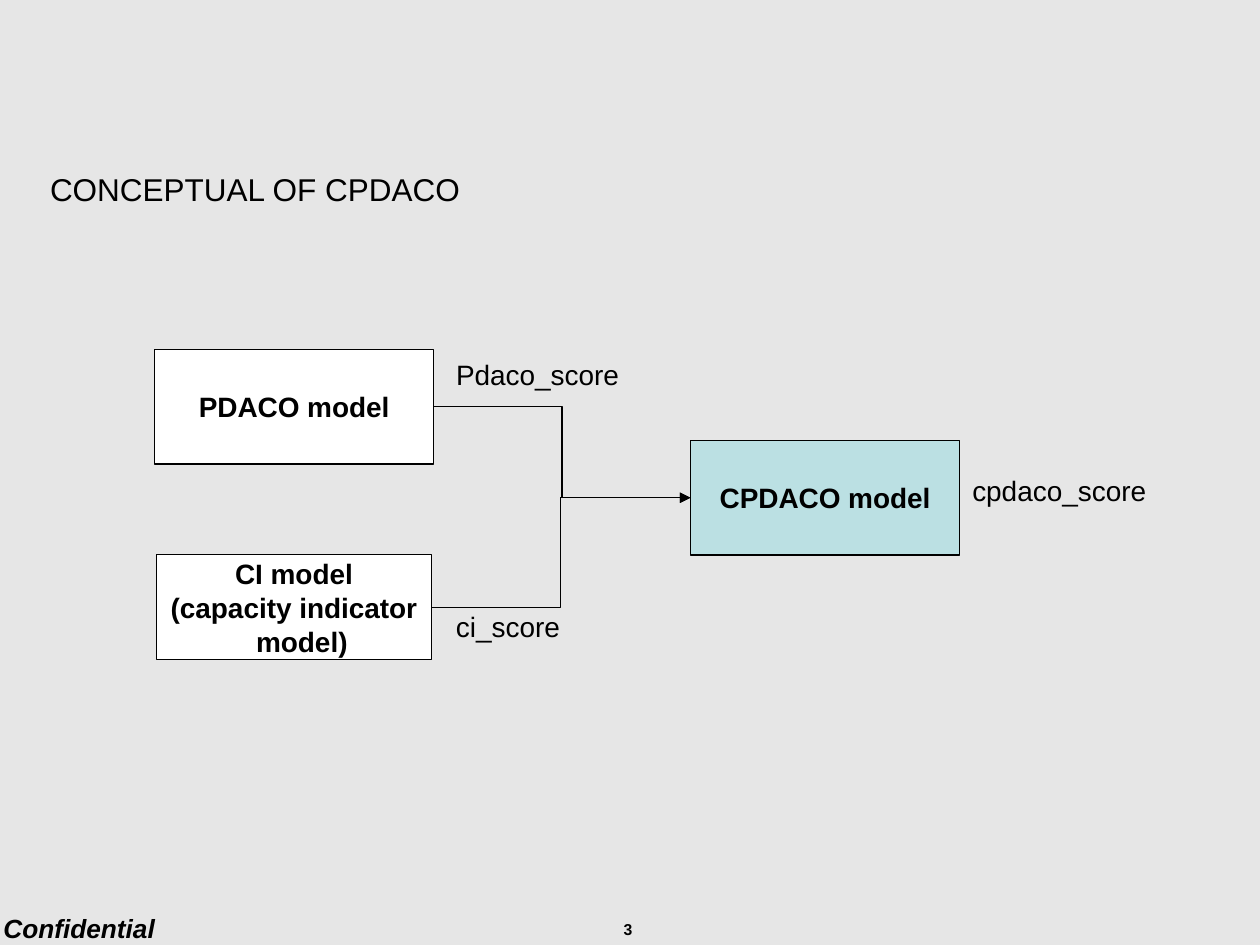
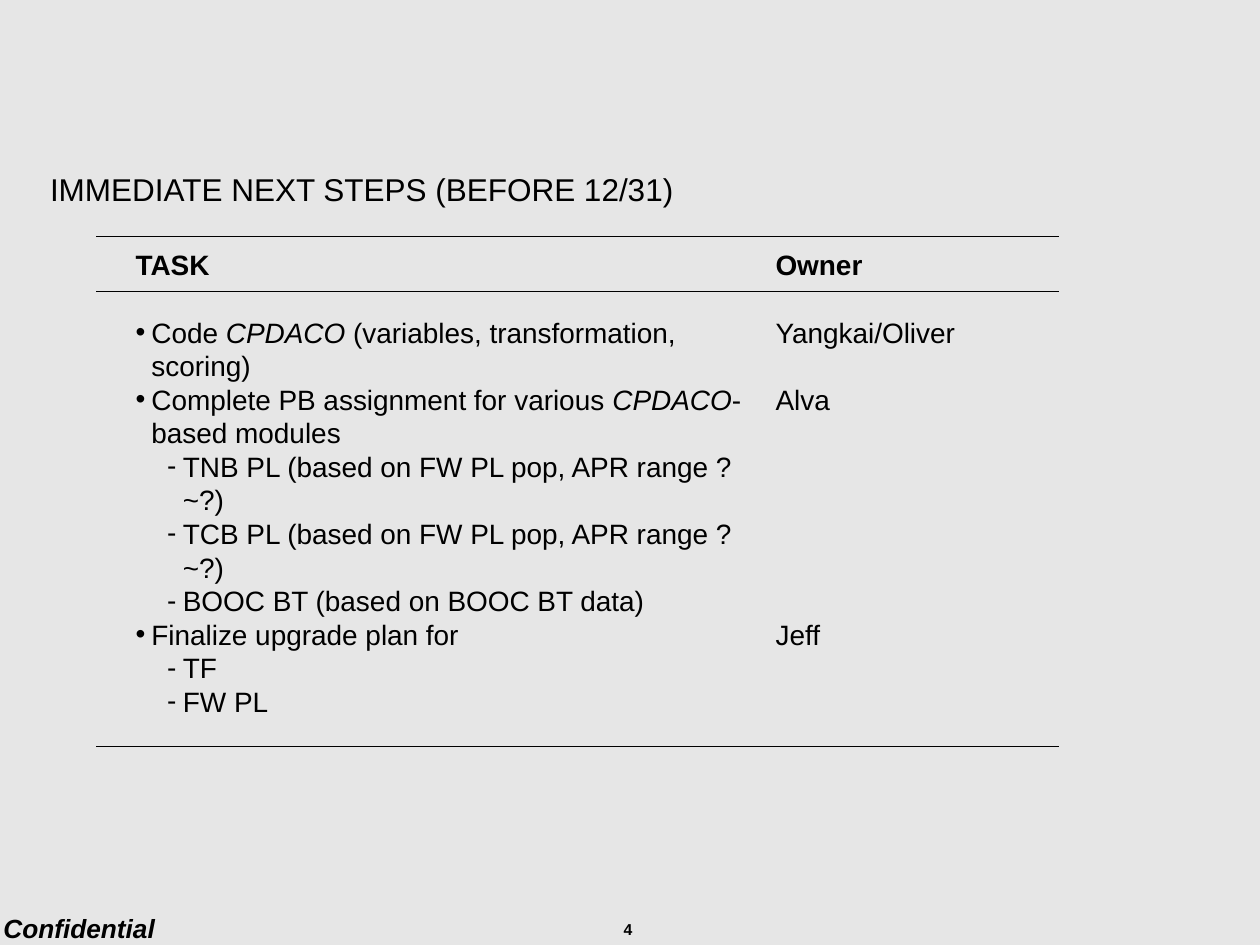
from lxml.etree import SubElement
from pptx import Presentation
from pptx.dml.color import RGBColor as Color
from pptx.enum.shapes import MSO_CONNECTOR as Connector, MSO_SHAPE as Shape
from pptx.enum.text import MSO_ANCHOR as Anchor, MSO_AUTO_SIZE as AutoSize, PP_ALIGN as Align
from pptx.oxml.ns import qn
from pptx.util import Pt

COLORS = {"background": "E6E6E6", "ink": "000000", "input": "FFFFFF", "result": "BBE0E3"}
FONT = "Arial"
SLIDE_WIDTH, SLIDE_HEIGHT = 720, 540
FIRST_PAGE = 3
LINE_HEIGHT = 19.2  # one line of 16 pt text
HANGING = 9
LEFT, RIGHT = 1, 3  # connection sites of a rectangle

TITLE = {"size": Pt(18)}
BODY = {"size": Pt(16)}
STRONG = {"size": Pt(16), "bold": True}
CONFIDENTIAL = {"size": Pt(15), "bold": True, "italic": True}
PAGE_NUMBER = {"size": Pt(9), "bold": True}

# Text between bars is italic: (level, text)
TASKS = [
    (0, "Code |CPDACO |(variables, transformation, scoring)"),
    (0, "Complete PB assignment for various |CPDACO|-based modules"),
    (1, "TNB PL (based on FW PL pop, APR range ?~?)"),
    (1, "TCB PL (based on FW PL pop, APR range ?~?)"),
    (1, "BOOC BT (based on BOOC BT data)"),
    (0, "Finalize upgrade plan for"),
    (1, "TF"),
    (1, "FW PL"),
]
# Owner and the number of free lines above
OWNERS = [("Yangkai/Oliver", 1), ("Alva", 1), ("Jeff", 6)]
BULLETS = ["•", "-"]


def rgb(name):
    return Color.from_string(COLORS[name])


def apply(target, values):
    for name, value in values.items():
        setattr(target, name, value)


def points(box):
    return [Pt(length) for length in box]


# Text helpers
def write(paragraph, text, font, **settings):
    apply(paragraph, settings)
    for index, part in enumerate(text.split("|")):
        run = paragraph.add_run()
        run.text = part
        apply(run.font, {"name": FONT, **font})
        run.font.color.rgb = rgb("ink")
        if index % 2:
            run.font.italic = True


def add_paragraph(frame, text, font, **settings):
    paragraph = frame.add_paragraph()
    write(paragraph, text, font, **settings)
    return paragraph


def indent(paragraph, level=0, bullet=None):
    properties = paragraph._p.get_or_add_pPr()
    properties.set("marL", str(Pt(HANGING + 18 * level)))
    properties.set("indent", str(Pt(-HANGING)))
    if bullet:
        bullet_color = SubElement(properties, qn("a:buClr"))
        SubElement(bullet_color, qn("a:srgbClr")).set("val", COLORS["ink"])
        SubElement(properties, qn("a:buFont")).set("typeface", FONT)
        SubElement(properties, qn("a:buChar")).set("char", bullet)
        # The bullet takes its size from the paragraph end
        SubElement(paragraph._p, qn("a:endParaRPr")).set("sz", "1600")


def add_text(slide, box, text, font, margins=True, wrap=True, **settings):
    frame = slide.shapes.add_textbox(*points(box)).text_frame
    apply(frame, {"word_wrap": wrap,
                  "auto_size": AutoSize.NONE if wrap else AutoSize.SHAPE_TO_FIT_TEXT})
    if not margins:
        apply(frame, dict.fromkeys(
            ["margin_left", "margin_top", "margin_right", "margin_bottom"], 0))
    write(frame.paragraphs[0], text, font, **settings)
    return frame


def add_line(slide, kind, start, end):
    connector = slide.shapes.add_connector(kind, *points(start + end))
    connector.line.color.rgb = rgb("ink")
    connector.line.width = Pt(0.75)
    SubElement(connector._element.spPr, qn("a:effectLst"))
    return connector


# Parts shared by all slides
def add_slide(presentation, title):
    slide = presentation.slides.add_slide(presentation.slide_layouts[6])
    page = FIRST_PAGE + len(presentation.slides) - 1
    add_text(slide, (21.5, 93.6, 669, 28.8), title, TITLE)
    add_text(slide, (1.9, 521.3, 239, 18), "Confidential", CONFIDENTIAL, margins=False)
    add_text(slide, (275, 522.3, 167.8, 17.7), str(page), PAGE_NUMBER, alignment=Align.CENTER)
    return slide


# Model diagram
def add_model(slide, box, color, lines):
    shape = slide.shapes.add_shape(Shape.RECTANGLE, *points(box))
    shape.shadow.inherit = False
    shape.fill.solid()
    shape.fill.fore_color.rgb = rgb(color)
    shape.line.color.rgb = rgb("ink")
    shape.line.width = Pt(0.75)
    frame = shape.text_frame
    apply(frame, {"word_wrap": True, "vertical_anchor": Anchor.MIDDLE})
    write(frame.paragraphs[0], lines[0], STRONG)
    for line in lines[1:]:
        add_paragraph(frame, line, STRONG)
    for paragraph in frame.paragraphs:
        paragraph.alignment = Align.CENTER
        indent(paragraph)
    return shape


def join(slide, source, target):
    connector = add_line(slide, Connector.ELBOW,
                         (source.left.pt + source.width.pt, source.top.pt + source.height.pt / 2),
                         (target.left.pt, target.top.pt + target.height.pt / 2))
    connector.begin_connect(source, RIGHT)
    connector.end_connect(target, LEFT)
    tail = SubElement(connector.line._get_or_add_ln(), qn("a:tailEnd"))
    tail.set("type", "triangle")


def add_diagram(slide, box):
    left, top, width, height = box
    pdaco = add_model(slide, (left, top, 159.3, 65.5), "input", ["PDACO model"])
    capacity = add_model(slide, (left + 1, top + height - 60, 157, 60), "input",
                         ["CI model", "(capacity indicator model)"])
    result = add_model(slide, (left + 306, top + 52, 154, 65.5), "result", ["CPDACO model"])
    for source in (pdaco, capacity):
        join(slide, source, result)
    # Score labels
    for text, x, y, label_width in [("Pdaco_score", 165, 1.3, 109),
                                    ("ci_score", 165, 145.3, 75),
                                    ("cpdaco_score", 460, 67.5, 115)]:
        add_text(slide, (left + x, top + y, label_width, 26.6), text, BODY, wrap=False)


# Task list with owners
def add_task_list(slide, box):
    left, top, width, height = box
    tasks = add_text(slide, (left + 15.3, top + 3.1, 363.6, 276), "TASK", STRONG)
    for index, (level, text) in enumerate(TASKS):
        paragraph = add_paragraph(tasks, text, BODY, level=level,
                                  space_before=Pt(0 if index else LINE_HEIGHT))
        indent(paragraph, level, BULLETS[level])

    owners = add_text(slide, (left + 381, top + 3.1, 150.5, 276), "Owner", STRONG)
    for owner, free_lines in OWNERS:
        add_paragraph(owners, owner, BODY, space_before=Pt(free_lines * LINE_HEIGHT))
    for frame in (tasks, owners):
        indent(frame.paragraphs[0])

    # Rules above and below the heading and at the end
    for y in (top, top + 31.5, top + height):
        add_line(slide, Connector.STRAIGHT, (left, y), (left + width, y))


def main():
    presentation = Presentation()
    apply(presentation, {"slide_width": Pt(SLIDE_WIDTH), "slide_height": Pt(SLIDE_HEIGHT)})
    background = presentation.slide_master.background.fill
    background.solid()
    background.fore_color.rgb = rgb("background")

    add_diagram(add_slide(presentation, "CONCEPTUAL OF CPDACO"), (88.5, 199.7, 573, 177.3))
    add_task_list(add_slide(presentation, "IMMEDIATE NEXT STEPS (BEFORE 12/31)"),
                  (55.1, 135, 550, 291.7))
    presentation.save("out.pptx")


if __name__ == "__main__":
    main()
